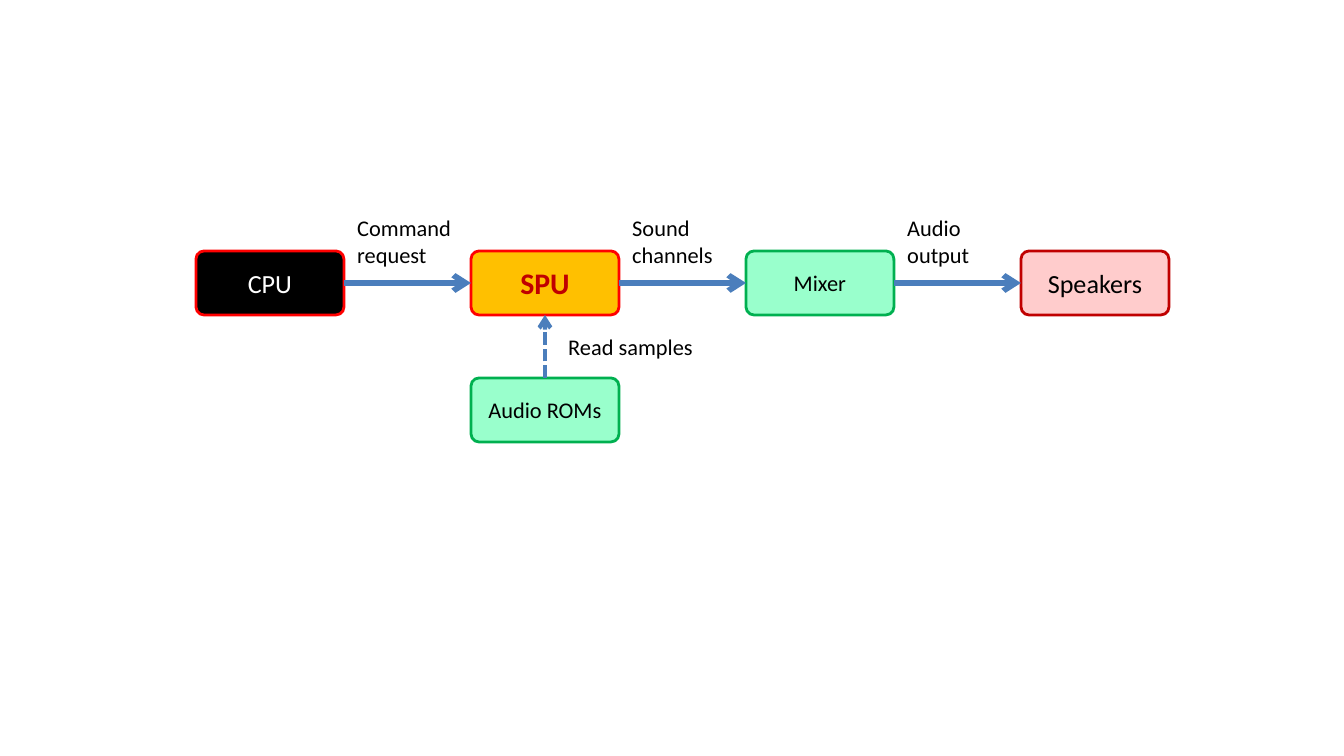
from lxml import etree
from pptx import Presentation
from pptx.dml.color import RGBColor
from pptx.enum.dml import MSO_LINE
from pptx.enum.shapes import MSO_CONNECTOR, MSO_SHAPE
from pptx.enum.text import MSO_ANCHOR, MSO_AUTO_SIZE, PP_ALIGN
from pptx.oxml.ns import qn
from pptx.util import Emu, Pt

ROUNDED = MSO_SHAPE.ROUNDED_RECTANGLE
STRAIGHT = MSO_CONNECTOR.STRAIGHT
SYSTEM_DASH = MSO_LINE.SQUARE_DOT
MIDDLE = MSO_ANCHOR.MIDDLE
CENTER = PP_ALIGN.CENTER
LEFT = PP_ALIGN.LEFT
GROW = MSO_AUTO_SIZE.SHAPE_TO_FIT_TEXT
TOP_SIDE, LEFT_SIDE, RIGHT_SIDE = 0, 1, 3

EMU_PER_PX = 6804
FONT = "Calibri"
BLACK = "000000"
GREEN = "00B050"
MINT = "99FFCC"
RED = "FF0000"
DARK_RED = "C00000"
ARROW_BLUE = "4B7EBC"

NODE_LEFT, NODE_TOP, NODE_PITCH = 196, 251, 275
NODE_WIDTH, NODE_HEIGHT = 148, 64
ROM_TOP = 378
LABEL_TOP, LABEL_HEIGHT = 208, 67

CHAIN = [
    ("CPU", BLACK, RED, {"size": 14, "color": "FFFFFF"}),
    ("SPU", "FFC000", RED, {"size": 16, "color": DARK_RED, "bold": True}),
    ("Mixer", MINT, GREEN, {}),
    ("Speakers", "FFCCCC", DARK_RED, {"size": 14}),
]
FLOWS = [("Command request", 148), ("Sound channels", 148), ("Audio output", 106)]


def px(value):
    """Turn px into EMU."""
    return Emu(value * EMU_PER_PX)


def rgb(color):
    """Turn a hex string into a colour."""
    return RGBColor.from_string(color)


def write(box, text, size=12, color=BLACK, bold=False, align=LEFT):
    """Write one formatted paragraph into a box."""
    para = box.text_frame.paragraphs[0]
    para.alignment = align
    span = para.add_run()
    span.text = text
    span.font.name = FONT
    span.font.size = Pt(size)
    span.font.bold = bold
    span.font.color.rgb = rgb(color)


def add_node(page, left, top, text, fill, outline, **style):
    """Add a rounded box with centred text."""
    node = page.shapes.add_shape(ROUNDED, px(left), px(top), px(NODE_WIDTH), px(NODE_HEIGHT))
    node.adjustments[0] = 0.125
    node.shadow.inherit = False
    node.fill.solid()
    node.fill.fore_color.rgb = rgb(fill)
    node.line.color.rgb = rgb(outline)
    node.line.width = Pt(1.5)
    node.text_frame.vertical_anchor = MIDDLE
    write(node, text, align=CENTER, **style)
    return node


def add_label(page, left, top, width, height, text):
    """Add a plain wrapped label."""
    label = page.shapes.add_textbox(px(left), px(top), px(width), px(height))
    label.text_frame.word_wrap = True
    label.text_frame.auto_size = GROW
    write(label, text)


def add_arrow(page, source, source_side, target, target_side, width=3, dash=None):
    """Join two nodes with an arrow."""
    arrow = page.shapes.add_connector(STRAIGHT, 0, 0, 0, 0)
    arrow.begin_connect(source, source_side)
    arrow.end_connect(target, target_side)
    arrow.line.color.rgb = rgb(ARROW_BLUE)
    arrow.line.width = Pt(width)
    if dash:
        arrow.line.dash_style = dash
    properties = arrow.element.spPr
    etree.SubElement(properties.find(qn("a:ln")), qn("a:tailEnd"), type="arrow")
    etree.SubElement(properties, qn("a:effectLst"))


def main():
    """Build the audio pipeline slide."""
    deck = Presentation()
    deck.slide_width, deck.slide_height = px(1344), px(756)
    page = deck.slides.add_slide(deck.slide_layouts[6])

    nodes = [
        add_node(page, NODE_LEFT + i * NODE_PITCH, NODE_TOP, text, fill, outline, **style)
        for i, (text, fill, outline, style) in enumerate(CHAIN)
    ]
    for i, (text, width) in enumerate(FLOWS):
        add_arrow(page, nodes[i], RIGHT_SIDE, nodes[i + 1], LEFT_SIDE)
        left = NODE_LEFT + i * NODE_PITCH + NODE_WIDTH
        add_label(page, left, LABEL_TOP, width, LABEL_HEIGHT, text)

    roms = add_node(page, NODE_LEFT + NODE_PITCH, ROM_TOP, "Audio ROMs", MINT, GREEN)
    add_arrow(page, roms, TOP_SIDE, nodes[1], 2, width=2.25, dash=SYSTEM_DASH)
    add_label(page, 555, 327, 159, 40, "Read samples")
    deck.save("out.pptx")


if __name__ == "__main__":
    main()
